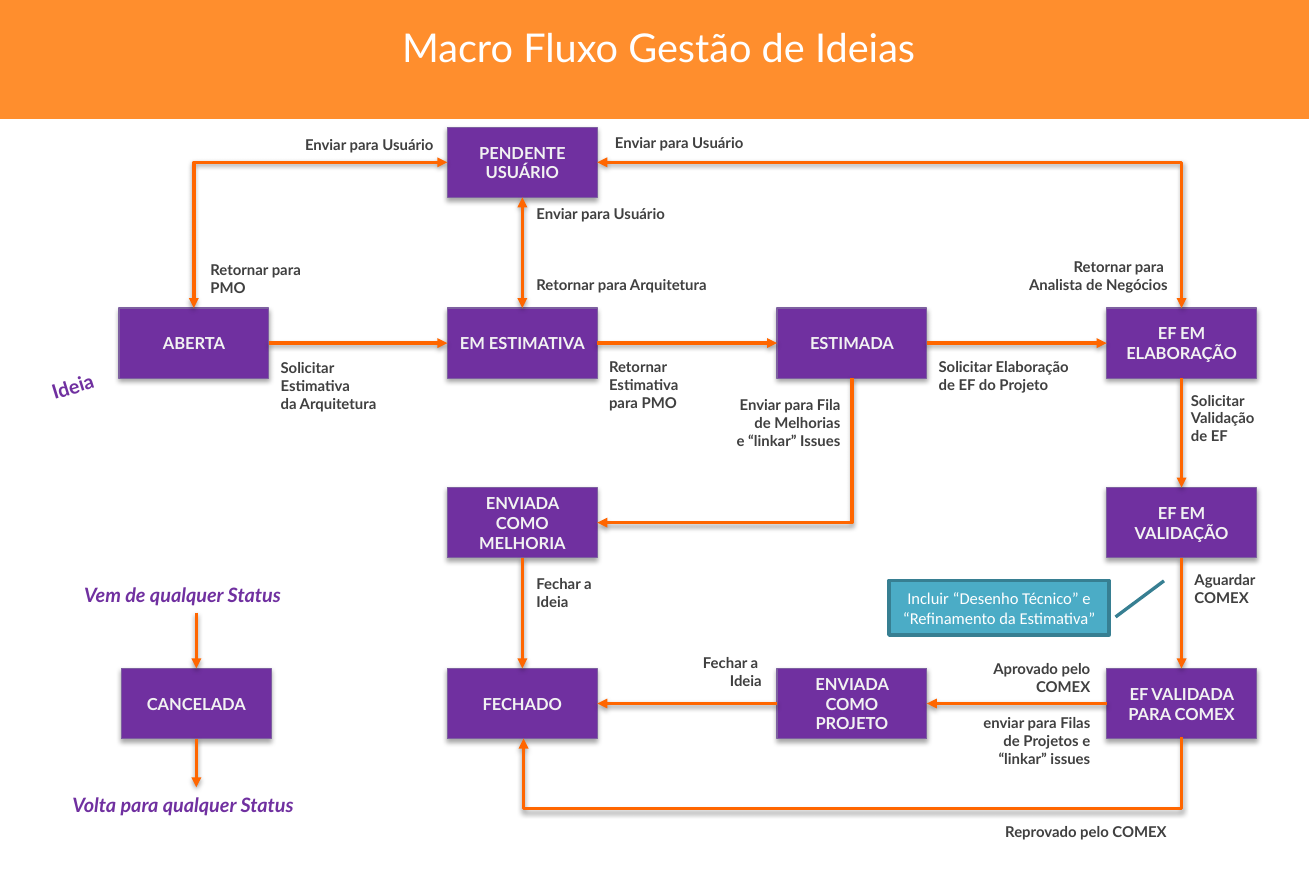
from lxml import etree
from pptx import Presentation
from pptx.dml.color import RGBColor
from pptx.enum.shapes import MSO_CONNECTOR, MSO_SHAPE
from pptx.enum.text import MSO_ANCHOR, PP_ALIGN
from pptx.oxml import parse_xml
from pptx.oxml.ns import qn
from pptx.util import Inches, Pt

STRAIGHT, ELBOW = MSO_CONNECTOR.STRAIGHT, MSO_CONNECTOR.ELBOW
PROCESS, CALLOUT = MSO_SHAPE.FLOWCHART_PROCESS, MSO_SHAPE.LINE_CALLOUT_1
LEFT, CENTER, RIGHT = PP_ALIGN.LEFT, PP_ALIGN.CENTER, PP_ALIGN.RIGHT
MIDDLE = MSO_ANCHOR.MIDDLE
TOP_SIDE, LEFT_SIDE, BOTTOM_SIDE, RIGHT_SIDE = range(4)

HEX = {
    "banner": "FF8E2D", "white": "FFFFFF", "purple": "7030A0", "edge": "7D60A0",
    "status": "F2F2F2", "arrow": "FF6600", "label": "404040",
    "note": "4BACC6", "note_edge": "377F92",
}
COLORS = {name: RGBColor.from_string(value) for name, value in HEX.items()}
SHADOW = (
    '<a:effectLst xmlns:a="http://schemas.openxmlformats.org/drawingml/2006/main">'
    '<a:outerShdw blurRad="39370" dist="{dist}" dir="5400000" rotWithShape="0">'
    '<a:srgbClr val="000000"><a:alpha val="{alpha}"/></a:srgbClr>'
    '</a:outerShdw></a:effectLst>'
)


def write(frame, lines, size, color, align=LEFT, bold=True, italic=False, face="Lato"):
    frame.word_wrap = True
    frame.text = "\n".join(lines)
    for paragraph in frame.paragraphs:
        paragraph.alignment = align
        font = paragraph.font
        font.name, font.size, font.bold, font.italic = face, Pt(size), bold, italic
        font.color.rgb = COLORS[color]


def style_arrow(arrow, ends):
    arrow.line.color.rgb = COLORS["arrow"]
    arrow.line.width = Pt(2)
    properties = arrow._element.spPr
    outline = properties.find(qn("a:ln"))
    for end in ends:
        etree.SubElement(outline, qn("a:" + end), type="triangle")
    properties.append(parse_xml(SHADOW.format(dist=20320, alpha=38000)))


prs = Presentation()
prs.slide_width, prs.slide_height = Inches(11.06), Inches(7.5)
slide = prs.slides.add_slide(prs.slide_layouts[5])
shapes = slide.shapes

arc = []
for start, c1, c2, stop in (
    ((10.82, 0.59), (9.36, 0.74), (7.48, 0.82), (5.43, 0.82)),
    ((5.43, 0.82), (3.38, 0.82), (1.5, 0.74), (0.04, 0.59)),
):
    for step in range(21):
        t = step / 20
        weights = ((1 - t) ** 3, 3 * t * (1 - t) ** 2, 3 * t * t * (1 - t), t ** 3)
        arc.append(tuple(
            sum(w * p[axis] for w, p in zip(weights, (start, c1, c2, stop)))
            for axis in (0, 1)
        ))
outline = shapes.build_freeform(0, 0, scale=Inches(1))
outline.add_line_segments([(11.06, 0), (11.06, 0.57)] + arc + [(0, 0.59)], close=True)
banner = outline.convert_to_shape()
banner.shadow.inherit = False
banner.fill.solid()
banner.fill.fore_color.rgb = COLORS["banner"]
banner.line.fill.background()

title = shapes.title
title.left, title.top = Inches(2.55), Inches(0.14)
title.width, title.height = Inches(5.97), Inches(0.5)
write(title.text_frame, ["Macro Fluxo Gestão de Ideias"], 24, "white", CENTER, bold=False)
title.text_frame.vertical_anchor = MIDDLE
shapes._spTree.append(title._element)

BOX_W, BOX_H = 1.26, 0.59
COLUMNS = [1, 3.76, 6.53, 9.3]
ROWS = [1.07, 2.59, 4.1, 5.62]
status = {}
for text, left, top in (
    ("ABERTA", COLUMNS[0], ROWS[1]),
    ("EM ESTIMATIVA", COLUMNS[1], ROWS[1]),
    ("ESTIMADA", COLUMNS[2], ROWS[1]),
    ("FECHADO", COLUMNS[1], ROWS[3]),
    ("EF EM ELABORAÇÃO", COLUMNS[3], ROWS[1]),
    ("EF EM VALIDAÇÃO", COLUMNS[3], ROWS[2]),
    ("EF VALIDADA PARA COMEX", COLUMNS[3], ROWS[3]),
    ("ENVIADA COMO PROJETO", COLUMNS[2], ROWS[3]),
    ("PENDENTE USUÁRIO", COLUMNS[1], ROWS[0]),
    ("ENVIADA COMO MELHORIA", COLUMNS[1], ROWS[2]),
    ("CANCELADA", 1.02, ROWS[3]),
):
    box = shapes.add_shape(PROCESS, Inches(left), Inches(top), Inches(BOX_W), Inches(BOX_H))
    box.fill.solid()
    box.fill.fore_color.rgb = COLORS["purple"]
    box.line.color.rgb = COLORS["edge"]
    box.line.width = Pt(0.75)
    box.shadow.inherit = False
    properties = box._element.spPr
    properties.replace(properties.find(qn("a:effectLst")),
                       parse_xml(SHADOW.format(dist=22860, alpha=35000)))
    write(box.text_frame, [text], 10, "status", CENTER)
    box.text_frame.vertical_anchor = MIDDLE
    box.text_frame.margin_left = box.text_frame.margin_right = Inches(0.09)
    status[text] = box

ONE_WAY, BACK, BOTH = ["tailEnd"], ["headEnd"], ["headEnd", "tailEnd"]
for source, source_side, target, target_side, kind, ends in (
    ("ABERTA", RIGHT_SIDE, "EM ESTIMATIVA", LEFT_SIDE, STRAIGHT, ONE_WAY),
    ("EM ESTIMATIVA", RIGHT_SIDE, "ESTIMADA", LEFT_SIDE, STRAIGHT, ONE_WAY),
    ("ESTIMADA", RIGHT_SIDE, "EF EM ELABORAÇÃO", LEFT_SIDE, STRAIGHT, ONE_WAY),
    ("EM ESTIMATIVA", TOP_SIDE, "PENDENTE USUÁRIO", BOTTOM_SIDE, STRAIGHT, BOTH),
    ("EF EM ELABORAÇÃO", BOTTOM_SIDE, "EF EM VALIDAÇÃO", TOP_SIDE, STRAIGHT, ONE_WAY),
    ("EF EM VALIDAÇÃO", BOTTOM_SIDE, "EF VALIDADA PARA COMEX", TOP_SIDE, STRAIGHT, ONE_WAY),
    ("EF VALIDADA PARA COMEX", LEFT_SIDE, "ENVIADA COMO PROJETO", RIGHT_SIDE, STRAIGHT, ONE_WAY),
    ("ENVIADA COMO PROJETO", LEFT_SIDE, "FECHADO", RIGHT_SIDE, STRAIGHT, ONE_WAY),
    ("ENVIADA COMO MELHORIA", BOTTOM_SIDE, "FECHADO", TOP_SIDE, STRAIGHT, ONE_WAY),
    ("PENDENTE USUÁRIO", LEFT_SIDE, "ABERTA", TOP_SIDE, ELBOW, BOTH),
    ("PENDENTE USUÁRIO", RIGHT_SIDE, "EF EM ELABORAÇÃO", TOP_SIDE, ELBOW, BOTH),
    ("ENVIADA COMO MELHORIA", RIGHT_SIDE, "ESTIMADA", BOTTOM_SIDE, ELBOW, BACK),
):
    arrow = shapes.add_connector(kind, 0, 0, 0, 0)
    arrow.begin_connect(status[source], source_side)
    arrow.end_connect(status[target], target_side)
    if kind == ELBOW:
        arrow._element.spPr.find(qn("a:prstGeom")).set("prst", "bentConnector2")
    style_arrow(arrow, ends)

cancel_in = shapes.add_connector(STRAIGHT, Inches(1.65), Inches(5.15), Inches(1.65), Inches(5.62))
cancel_in.end_connect(status["CANCELADA"], TOP_SIDE)
style_arrow(cancel_in, ONE_WAY)
cancel_out = shapes.add_connector(STRAIGHT, Inches(1.65), Inches(6.21), Inches(1.65), Inches(6.62))
cancel_out.begin_connect(status["CANCELADA"], BOTTOM_SIDE)
style_arrow(cancel_out, ONE_WAY)

rejected = shapes.add_connector(ELBOW, Inches(7.16), Inches(3.44), Inches(7.17), Inches(8.97))
rejected._element.spPr.find(qn("a:xfrm")).set("rot", "5400000")
bend = rejected._element.spPr.find(qn("a:prstGeom")).find(qn("a:avLst"))
etree.SubElement(bend, qn("a:gd"), name="adj1", fmla="val 6100000")
style_arrow(rejected, ONE_WAY)

for left, top, width, height, align, lines in (
    (2.26, 2.97, 1.08, 0.56, LEFT, ["Solicitar", "Estimativa", "da Arquitetura"]),
    (5.02, 2.96, 0.85, 0.56, LEFT, ["Retornar", "Estimativa", "para PMO"]),
    (7.79, 2.96, 1.37, 0.4, LEFT, ["Solicitar Elaboração", "de EF do Projeto"]),
    (9.91, 3.24, 0.88, 0.56, LEFT, ["Solicitar Validação", "de EF"]),
    (9.94, 4.75, 0.88, 0.4, LEFT, ["Aguardar COMEX"]),
    (8.04, 5.5, 1.22, 0.4, RIGHT, ["Aprovado pelo COMEX"]),
    (8.04, 5.95, 1.22, 0.56, RIGHT, ["enviar para Filas de Projetos e “linkar” issues"]),
    (8.35, 6.87, 2.1, 0.25, LEFT, ["Reprovado pelo COMEX"]),
    (6.05, 3.28, 1.11, 0.56, RIGHT, ["Enviar para Fila de Melhorias", "e “linkar” Issues"]),
    (4.41, 4.78, 1.42, 0.4, LEFT, ["Fechar a", "Ideia"]),
    (5.08, 5.45, 1.42, 0.4, RIGHT, ["Fechar a ", "Ideia"]),
    (4.41, 1.67, 2.39, 0.25, LEFT, ["Enviar para Usuário"]),
    (4.41, 2.27, 2.39, 0.25, LEFT, ["Retornar para Arquitetura"]),
    (5.07, 1.07, 2.07, 0.25, LEFT, ["Enviar para Usuário"]),
    (7.84, 2.12, 2.07, 0.4, RIGHT, ["Retornar para ", "Analista de Negócios"]),
    (1.67, 1.09, 2.07, 0.25, RIGHT, ["Enviar para Usuário"]),
    (1.67, 2.14, 2.07, 0.4, LEFT, ["Retornar para", "PMO"]),
):
    label = shapes.add_textbox(Inches(left), Inches(top), Inches(width), Inches(height))
    write(label.text_frame, lines, 9, "label", align)

for text, left, top, width, angle, italic in (
    ("Ideia", 0.33, 3.07, 0.74, 342.8, False),
    ("Vem de qualquer Status", 0.61, 4.85, 2.1, 0, True),
    ("Volta para qualquer Status", 0.51, 6.62, 2.29, 0, True),
):
    caption = shapes.add_textbox(Inches(left), Inches(top), Inches(width), Inches(0.3))
    caption.rotation = angle
    write(caption.text_frame, [text], 12, "purple", italic=italic)

note = shapes.add_shape(CALLOUT, Inches(7.47), Inches(4.88), Inches(1.85), Inches(0.46))
note.shadow.inherit = False
for index, value in enumerate((0.67, 1.03, 0.01, 1.25)):
    note.adjustments[index] = value
note.fill.solid()
note.fill.fore_color.rgb = COLORS["note"]
note.line.color.rgb = COLORS["note_edge"]
note.line.width = Pt(2)
write(note.text_frame, ["Incluir “Desenho Técnico” e “Refinamento da Estimativa”"], 10, "white",
      CENTER, bold=False, face="Calibri")
note.text_frame.vertical_anchor = MIDDLE

prs.save("out.pptx")
